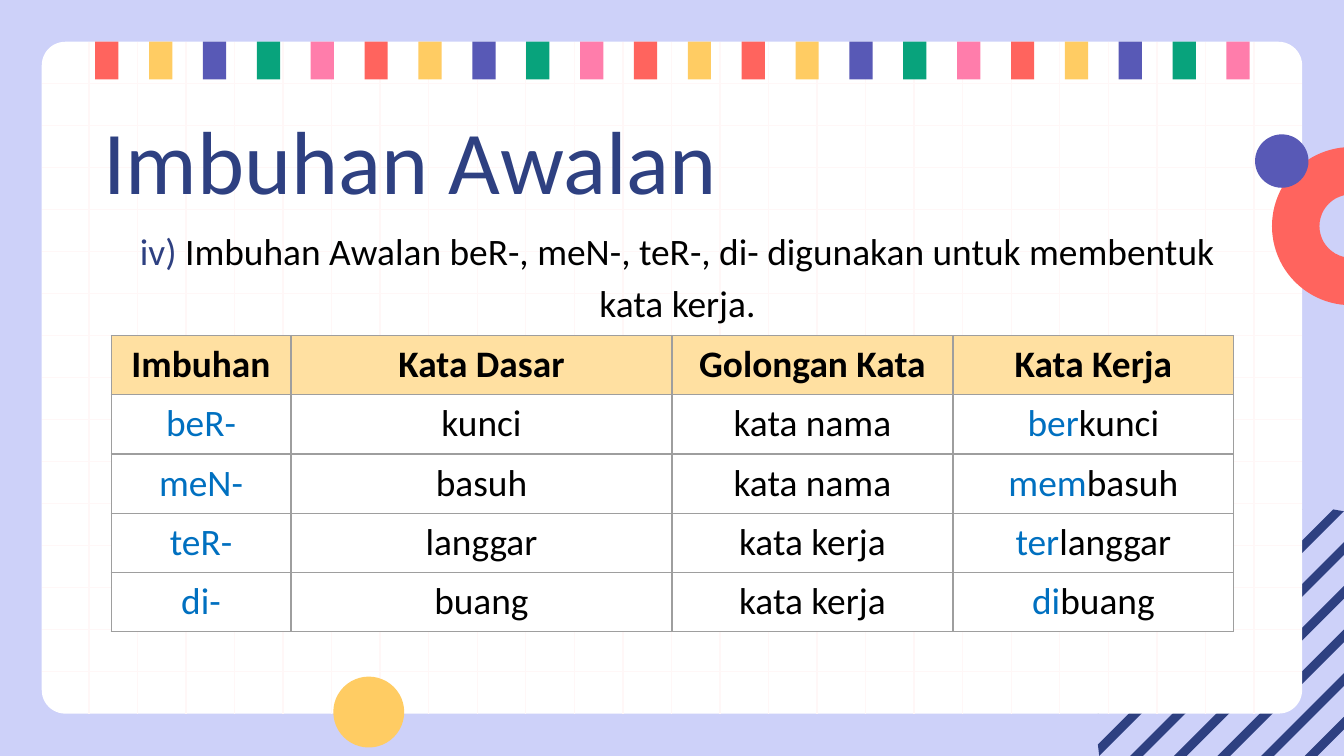
import pptx
import pptx.dml.color
import pptx.enum.shapes
import pptx.enum.text
import pptx.oxml
import pptx.oxml.ns
import pptx.util

Cm = pptx.util.Cm
Pt = pptx.util.Pt
RGBColor = pptx.dml.color.RGBColor
MSO_SHAPE = pptx.enum.shapes.MSO_SHAPE
PP_ALIGN = pptx.enum.text.PP_ALIGN

LAVENDER = RGBColor(0xCD, 0xD1, 0xF9)
NAVY = RGBColor(0x2E, 0x40, 0x81)
WHITE = RGBColor(0xFF, 0xFF, 0xFF)
BLACK = RGBColor(0x00, 0x00, 0x00)
BLUE = RGBColor(0x00, 0x70, 0xC0)
GRID_PINK = RGBColor(0xFF, 0xF7, 0xF7)
RED = RGBColor(0xFF, 0x64, 0x5E)
YELLOW = RGBColor(0xFF, 0xCC, 0x63)
PURPLE = RGBColor(0x58, 0x59, 0xB6)
GREEN = RGBColor(0x08, 0xA3, 0x7C)
PINK = RGBColor(0xFF, 0x7D, 0xAB)
HEADER_YELLOW = RGBColor(0xFF, 0xE0, 0xA1)
BORDER_GREY = RGBColor(0x9E, 0x9E, 0x9E)


def paint(shape, colour):
    shape.shadow.inherit = False
    shape.fill.solid()
    shape.fill.fore_color.rgb = colour
    shape.line.fill.background()


def write(paragraph, text, colour, size=20, bold=False):
    run = paragraph.add_run()
    run.text = text
    for name, value in {"name": "Calibri", "size": Pt(size), "bold": bold}.items():
        setattr(run.font, name, value)
    run.font.color.rgb = colour


deck = pptx.Presentation()
deck.slide_width, deck.slide_height = Cm(25.4), Cm(14.29)
slide = deck.slides.add_slide(deck.slide_layouts[0])
slide.background.fill.solid()
slide.background.fill.fore_color.rgb = LAVENDER
shapes = slide.shapes

corner_left, corner_right, corner_top, corner_bottom = 20.75, 25.4, 9.63, 14.29
for i in range(7):
    near = 38.95 - 4.95 * i / 6
    far = near + 0.24
    outline = []
    for edge in (near, far):
        upper_x = min(corner_right, edge - corner_top)
        lower_x = max(corner_left, edge - corner_bottom)
        ends = [(Cm(x), Cm(edge - x)) for x in (upper_x, lower_x)]
        outline += ends if edge == near else ends[::-1]
    builder = shapes.build_freeform(*outline[0])
    builder.add_line_segments(outline[1:])
    paint(builder.convert_to_shape(), NAVY)

card_left, card_top, card_width, card_height = 0.79, 0.79, 23.82, 12.7
card_right, card_bottom = card_left + card_width, card_top + card_height
card = shapes.add_shape(MSO_SHAPE.ROUNDED_RECTANGLE, Cm(card_left), Cm(card_top),
                        Cm(card_width), Cm(card_height))
card.adjustments[0] = 0.035
paint(card, WHITE)

row_ys = [card_top + card_height * i / 16 for i in range(1, 16)]
column_xs = [1.68 + 22.02 * i / 24 for i in range(25)]
grid = [(card_left, y, card_right, y) for y in row_ys]
grid += [(x, card_top, x, card_bottom) for x in column_xs]
for ends in grid:
    rule = shapes.add_connector(pptx.enum.shapes.MSO_CONNECTOR.STRAIGHT, *map(Cm, ends))
    rule.line.color.rgb = GRID_PINK
    rule.line.width = Pt(0.75)
    rule.element.spPr.append(pptx.oxml.parse_xml(
        f'<a:effectLst {pptx.oxml.ns.nsdecls("a")}/>'))

palette = [RED, YELLOW, PURPLE, GREEN, PINK]
for i, colour in enumerate(palette * 2 + palette[:2] + palette * 2):
    paint(shapes.add_shape(MSO_SHAPE.RECTANGLE, Cm(1.8 + 21.38 * i / 21), Cm(card_top),
                           Cm(0.44), Cm(0.71)), colour)

half_ring = shapes.add_shape(MSO_SHAPE.BLOCK_ARC, Cm(24.04), Cm(2.78), Cm(2.99), Cm(2.99))
for i, value in enumerate((54, 162, 0.3)):
    half_ring.adjustments[i] = value
paint(half_ring, RED)
for left, top, diameter, colour in [(6.3, 12.79, 1.34, YELLOW), (23.72, 2.54, 1.01, PURPLE)]:
    paint(shapes.add_shape(MSO_SHAPE.OVAL, Cm(left), Cm(top), Cm(diameter), Cm(diameter)), colour)

title, subtitle = shapes.title, slide.placeholders[1]
places = [(title, (1.7, 1.65, 21.41, 1.6), 0.33), (subtitle, (1.5, 3.94, 22.23, 8.99), 0.25)]
for holder, place, top_inset in places:
    holder.element.getparent().append(holder.element)
    for name, value in zip(("left", "top", "width", "height"), place):
        setattr(holder, name, Cm(value))
    frame_format = {
        "margin_left": Cm(0.25), "margin_right": Cm(0.25),
        "margin_top": Cm(top_inset), "margin_bottom": Cm(0.25),
        "word_wrap": True,
        "auto_size": pptx.enum.text.MSO_AUTO_SIZE.NONE,
        "vertical_anchor": pptx.enum.text.MSO_ANCHOR.TOP,
    }
    for name, value in frame_format.items():
        setattr(holder.text_frame, name, value)

heading = title.text_frame.paragraphs[0]
heading.alignment = PP_ALIGN.LEFT
write(heading, "Imbuhan Awalan", NAVY, size=48)

statement = subtitle.text_frame.paragraphs[0]
properties = statement._p.get_or_add_pPr()
properties.set("marL", str(Cm(0.38)))
properties.set("indent", "0")
for name, value in {"alignment": PP_ALIGN.CENTER, "line_spacing": 1.15,
                    "space_before": Pt(0)}.items():
    setattr(statement, name, value)
write(statement, "iv) ", NAVY)
write(statement, "Imbuhan Awalan beR-, meN-, teR-, di- digunakan untuk membentuk kata kerja.", BLACK)

headers = ["Imbuhan", "Kata Dasar", "Golongan Kata", "Kata Kerja"]
examples = [
    ("beR-", "kunci", "kata nama", "ber"),
    ("meN-", "basuh", "kata nama", "mem"),
    ("teR-", "langgar", "kata kerja", "ter"),
    ("di-", "buang", "kata kerja", "di"),
]
rows = [[[(header, BLACK)] for header in headers]]
rows += [[[(affix, BLUE)], [(root, BLACK)], [(word_class, BLACK)], [(prefix, BLUE), (root, BLACK)]]
         for affix, root, word_class, prefix in examples]

table = shapes.add_table(len(rows), len(headers), Cm(2.1), Cm(6.34), Cm(21.22), Cm(5.6)).table
table.first_row = table.horz_banding = False
for column, width in zip(table.columns, (3.4, 7.2, 5.31, 5.31)):
    column.width = Cm(width)
for r, row in enumerate(rows):
    table.rows[r].height = Cm(1.12)
    for c, pieces in enumerate(row):
        cell = table.cell(r, c)
        cell.fill.solid()
        cell.fill.fore_color.rgb = WHITE if r else HEADER_YELLOW
        for i, side in enumerate(("lnL", "lnR", "lnT", "lnB")):
            cell._tc.get_or_add_tcPr().insert(i, pptx.oxml.parse_xml(
                f'<a:{side} {pptx.oxml.ns.nsdecls("a")} w="{Pt(0.75)}"><a:solidFill>'
                f'<a:srgbClr val="{BORDER_GREY}"/></a:solidFill></a:{side}>'))
        paragraph = cell.text_frame.paragraphs[0]
        paragraph.alignment = PP_ALIGN.CENTER
        for text, colour in pieces:
            write(paragraph, text, colour, bold=r == 0)

deck.save("out.pptx")
